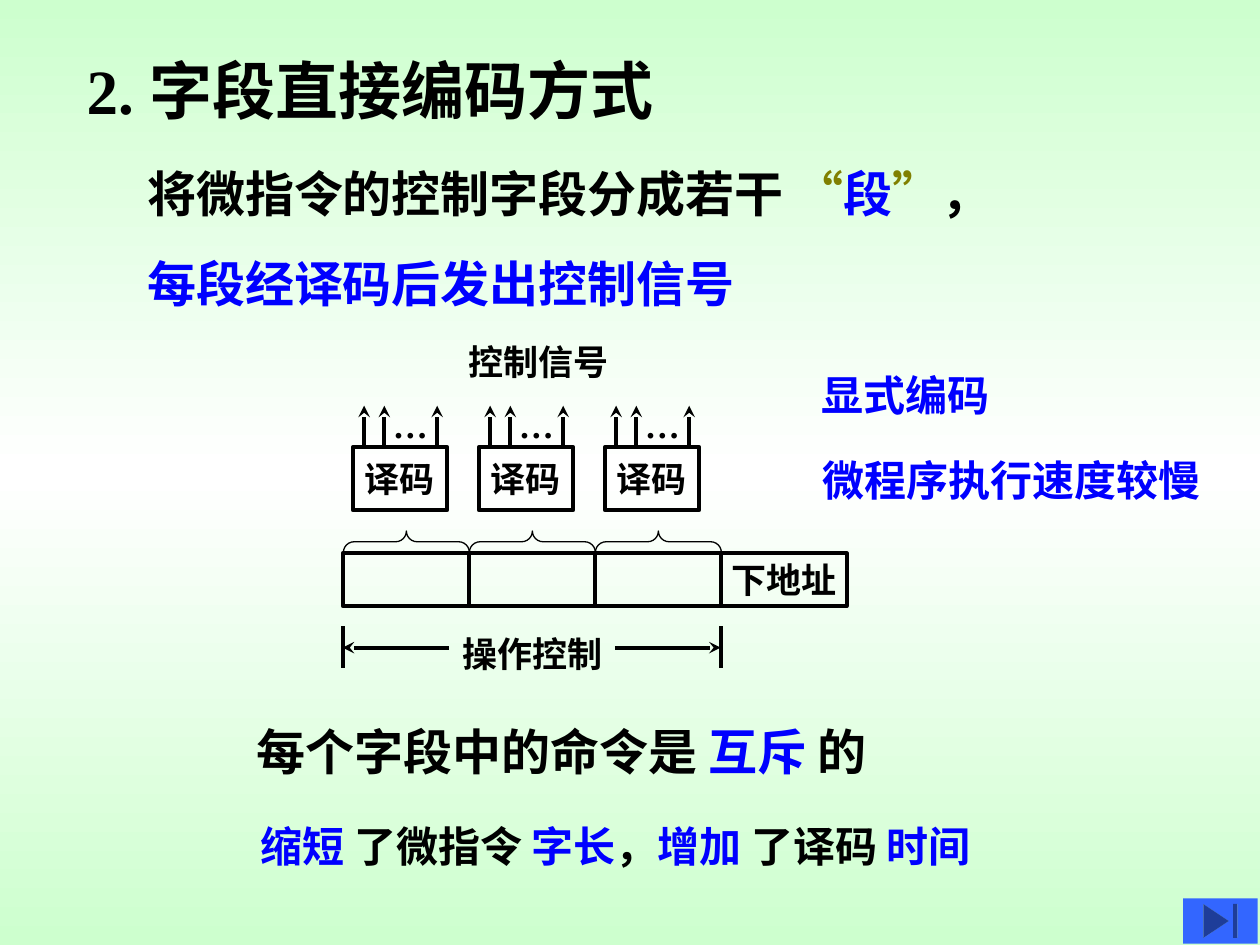
from copy import deepcopy
from dataclasses import dataclass

from lxml.etree import SubElement
from pptx import Presentation
from pptx.dml.color import RGBColor
from pptx.enum.shapes import MSO_CONNECTOR, MSO_SHAPE
from pptx.enum.text import MSO_ANCHOR, PP_ALIGN
from pptx.oxml.ns import qn
from pptx.util import Inches, Pt


@dataclass(frozen=True)
class Theme:
    ink: RGBColor = RGBColor(0, 0, 0)
    accent: RGBColor = RGBColor(0, 0, 255)
    quote: RGBColor = RGBColor(0x80, 0x80, 0)
    button: RGBColor = RGBColor(0x33, 0x66, 0xFF)
    edge: RGBColor = RGBColor(0xCD, 0xFF, 0xCE)
    middle: RGBColor = RGBColor(255, 255, 255)
    serif: str = "Times New Roman"
    sans: str = "DejaVu Sans"
    quote_font: str = "Arial"
    title: int = 36
    body: int = 28
    note: int = 24
    label: int = 20
    thick: float = 2.25
    thin: float = 0.75


THEME = Theme()


def paint_background(slide):
    fill = slide.background.fill
    fill.gradient()
    fill.gradient_angle = 90
    first = fill.gradient_stops[0]
    first.color.rgb = THEME.edge
    stops = slide.background._cSld.find(".//" + qn("a:gsLst"))
    stops.insert(1, deepcopy(stops[0]))
    colors = (THEME.edge, THEME.middle, THEME.edge)
    for stop, position, color in zip(fill.gradient_stops, (0, 0.5, 1), colors):
        stop.position = position
        stop.color.rgb = color


def write(paragraph, parts, size, font=THEME.serif):
    paragraph.font.size = Pt(size)
    paragraph.font.bold = True
    names = {name for _, _, name in parts}
    colors = {color for _, color, _ in parts}
    if len(names) == 1:
        paragraph.font.name = parts[0][2] or font
    if len(colors) == 1:
        paragraph.font.color.rgb = parts[0][1]
    for words, color, name in parts:
        run = paragraph.add_run()
        run.text = words
        if len(names) > 1:
            run.font.name = name or font
        if len(colors) > 1:
            run.font.color.rgb = color


def ink(words, font=None):
    return words, THEME.ink, font


def accent(words, font=None):
    return words, THEME.accent, font


def quote(mark):
    return mark, THEME.quote, THEME.quote_font


def add_text(slide, left, top, width, height, lines, size,
             font=THEME.serif, wrap=False):
    frame = slide.shapes.add_textbox(
        Inches(left), Inches(top), Inches(width), Inches(height)).text_frame
    frame.word_wrap = wrap
    for index, parts in enumerate(lines):
        paragraph = frame.add_paragraph() if index else frame.paragraphs[0]
        if index:
            paragraph.space_before = Pt(17.5)
        write(paragraph, parts, size, font)


def add_outline(slide, kind, left, top, width, height, weight):
    outline = slide.shapes.add_shape(
        kind, Inches(left), Inches(top), Inches(width), Inches(height))
    outline.shadow.inherit = False
    outline.fill.background()
    outline.line.color.rgb = THEME.ink
    outline.line.width = Pt(weight)
    return outline


def add_box(slide, left, top, width, height, caption=""):
    box = add_outline(slide, MSO_SHAPE.RECTANGLE, left, top, width, height, THEME.thick)
    if caption:
        frame = box.text_frame
        frame.word_wrap = False
        frame.vertical_anchor = MSO_ANCHOR.MIDDLE
        frame.paragraphs[0].alignment = PP_ALIGN.CENTER
        write(frame.paragraphs[0], [ink(caption)], THEME.label)


def add_line(slide, x1, y1, x2, y2, arrow=False):
    line = slide.shapes.add_connector(
        MSO_CONNECTOR.STRAIGHT, Inches(x1), Inches(y1), Inches(x2), Inches(y2))
    line.line.color.rgb = THEME.ink
    line.line.width = Pt(THEME.thick)
    if arrow:
        SubElement(line.line._get_or_add_ln(), qn("a:tailEnd"), type="stealth")
    SubElement(line._element.spPr, qn("a:effectLst"))


def add_field(slide, left):
    add_box(slide, left + 0.08, 3.55, 0.75, 0.5, "译码")
    for offset in (0.17, 0.33, 0.75):
        add_line(slide, left + offset, 3.55, left + offset, 3.22, arrow=True)
    add_text(slide, left + 0.3, 3.15, 0.48, 0.44, [[ink("…")]], THEME.label)
    add_box(slide, left, 4.39, 1, 0.42)
    brace = add_outline(slide, MSO_SHAPE.LEFT_BRACE, left + 0.42, 3.8, 0.17, 1, THEME.thin)
    brace.adjustments[0] = 0.5
    brace.rotation = 90


def add_diagram(slide):
    start, fields = 2.72, 3
    end = start + fields
    for index in range(fields):
        add_field(slide, start + index)
    add_box(slide, end, 4.39, 1, 0.42, "下地址")
    for limit, inner in ((start, 3.56), (end, 4.88)):
        add_line(slide, limit, 4.97, limit, 5.3)
        add_line(slide, inner, 5.14, limit, 5.14, arrow=True)
    add_text(slide, 3.57, 4.97, 1.31, 0.44, [[ink("操作控制")]], THEME.label)
    add_text(slide, 3.62, 2.65, 1.31, 0.44, [[ink("控制信号")]], THEME.label)


def add_end_button(slide):
    button = slide.shapes.add_shape(
        MSO_SHAPE.ACTION_BUTTON_END, Inches(9.39), Inches(7.13), Inches(0.59), Inches(0.36))
    button.shadow.inherit = False
    button.fill.solid()
    button.fill.fore_color.rgb = THEME.button
    button.line.fill.background()


def main():
    deck = Presentation()
    deck.slide_width, deck.slide_height = Inches(10), Inches(7.5)
    slide = deck.slides.add_slide(deck.slide_layouts[6])
    paint_background(slide)

    add_text(slide, 0.59, 0.36, 8.66, 0.7,
             [[ink("2. ", THEME.serif), ink("字段直接编码方式")]],
             THEME.title, THEME.sans, wrap=True)
    add_text(slide, 1.07, 1.25, 8.35, 1.28,
             [[ink("将微指令的控制字段分成若干 "), quote("“"), accent("段"), quote("”"), ink("，")],
              [accent("每段经译码后发出控制信号")]],
             THEME.body, THEME.sans, wrap=True)
    add_text(slide, 1.94, 5.68, 5.75, 0.57,
             [[ink("每个字段中的命令是 "), accent("互斥 "), ink("的")]],
             THEME.body, THEME.sans, wrap=True)
    add_diagram(slide)
    add_text(slide, 1.97, 6.46, 6, 0.5,
             [[accent("缩短 "), ink("了微指令 "), accent("字长"), ink("，"),
               accent("增加 "), ink("了译码 "), accent("时间")]], THEME.note, wrap=True)
    add_text(slide, 6.43, 3.56, 3.2, 0.5, [[accent("微程序执行速度较慢")]], THEME.note)
    add_text(slide, 6.42, 2.88, 2.36, 0.5, [[accent("显式编码")]], THEME.note, wrap=True)
    add_end_button(slide)
    deck.save("out.pptx")


if __name__ == "__main__":
    main()
